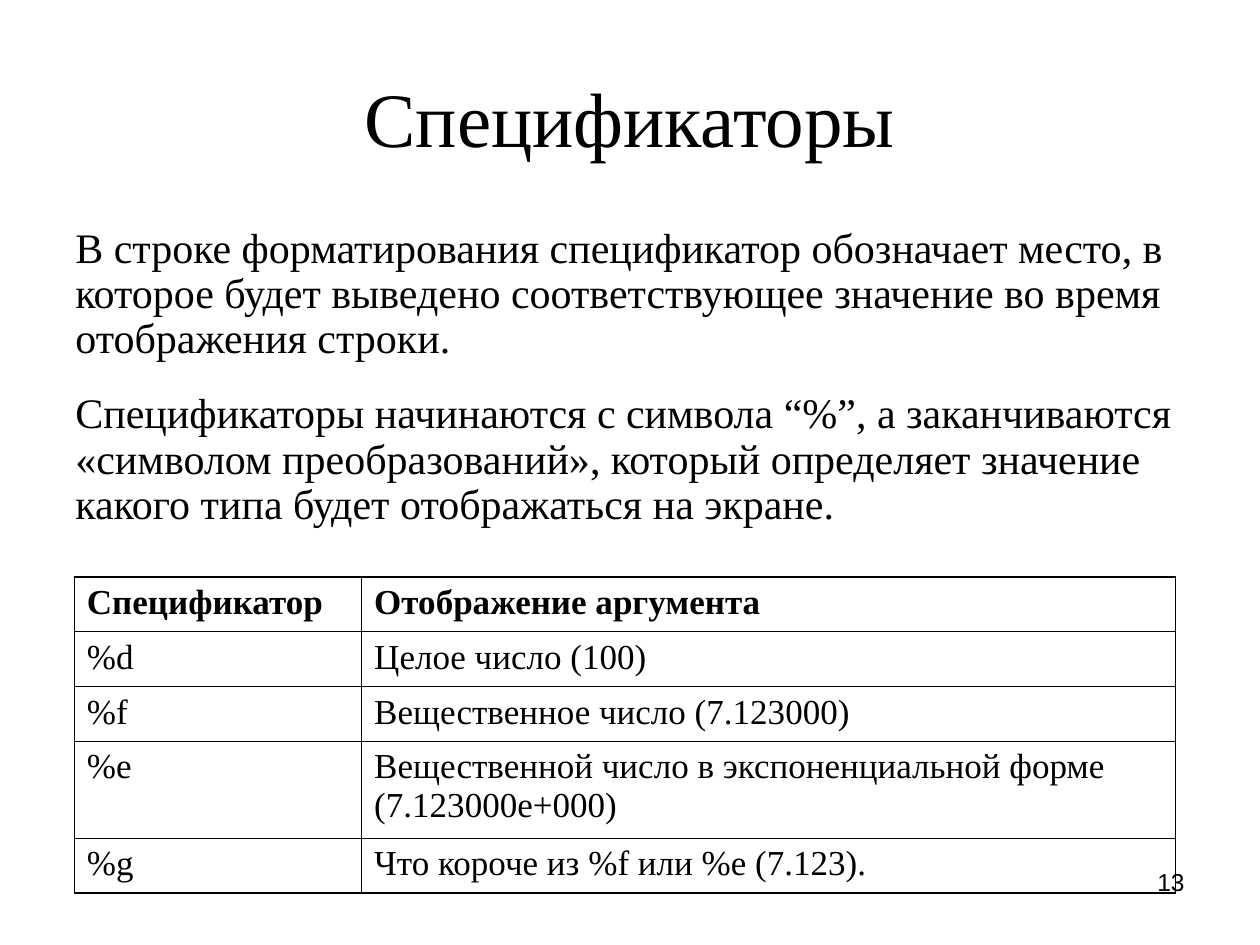
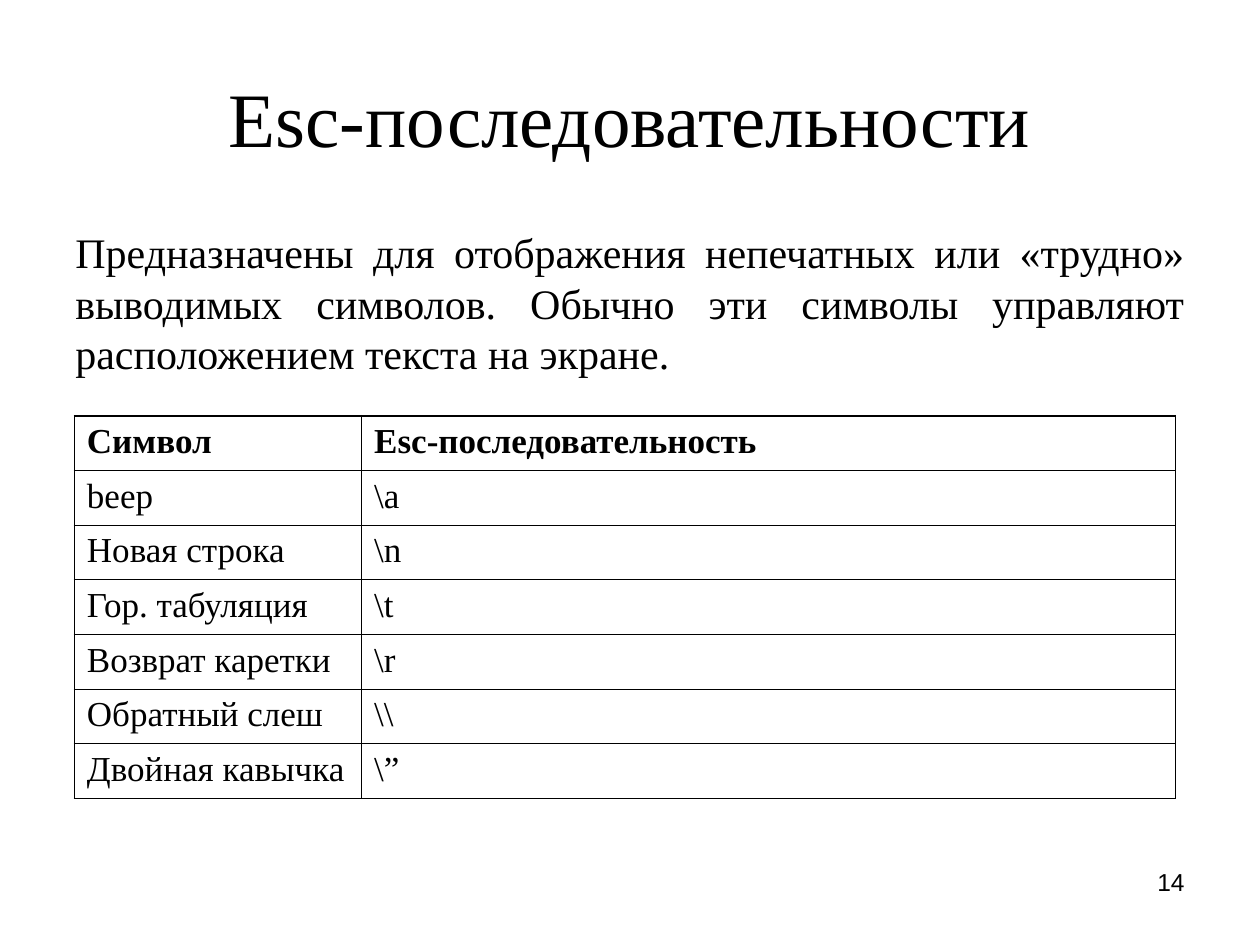
from dataclasses import dataclass

from lxml import etree
from pptx import Presentation
from pptx import util as u
from pptx.dml import color
from pptx.enum import text
from pptx.oxml import ns


@dataclass(frozen=True)
class Theme:
    ink: str = "000000"
    serif: str = "Times New Roman"
    sans: str = "Arial"
    title: int = 44
    body: int = 24
    cell: int = 20
    number: int = 14
    outer_line: float = 1.08
    inner_line: float = 0.45


@dataclass(frozen=True)
class Box:
    """Area in cells of the slide grid."""
    left: float
    top: float
    width: float
    height: float

    def place(self):
        return [grid(n) for n in (self.left, self.top, self.width, self.height)]


THEME = Theme()
ALIGN = text.PP_ALIGN

# Slide grid: 200 columns by 150 rows of square cells
COLUMNS, ROWS, CELL = 200, 150, 0.05
TITLE = Box(10, 6, 180, 25)
NUMBER = Box(143.4, 136.6, 46.6, 10.4)
TABLE_LEFT, TABLE_COLUMNS = 11.8, (45.6, 129.2)
ROW_HEIGHT, EXTRA_LINE = 8.65, 6.75


def grid(count):
    return u.Inches(count * CELL)


def write(para, words, size, font=THEME.serif, bold=False):
    span = para.add_run()
    span.text = words
    span.font.size = u.Pt(size)
    span.font.name = font
    span.font.bold = bold
    span.font.color.rgb = color.RGBColor.from_string(THEME.ink)


def add_frame(page, box):
    frame = page.shapes.add_textbox(*box.place()).text_frame
    frame.word_wrap = True
    return frame


def add_title(page, box, words):
    frame = add_frame(page, box)
    frame.vertical_anchor = text.MSO_ANCHOR.MIDDLE
    para = frame.paragraphs[0]
    para.alignment = ALIGN.CENTER
    write(para, words, THEME.title)


def add_body(page, box, paragraphs, align, line_spacing):
    frame = add_frame(page, box)
    for index, words in enumerate(paragraphs):
        para = frame.add_paragraph() if index else frame.paragraphs[0]
        para.alignment = align
        para.line_spacing = line_spacing
        para.space_before = u.Pt(17 if index else 6)
        write(para, words, THEME.body)


def add_number(page, box, number):
    para = add_frame(page, box).paragraphs[0]
    para.alignment = ALIGN.RIGHT
    write(para, str(number), THEME.number, THEME.sans)


def add_borders(cell, outer_sides):
    """Draw all four sides, heavier where the cell meets the table's edge."""
    properties = cell._tc.get_or_add_tcPr()
    for side in "LRTB":
        width = THEME.outer_line if side in outer_sides else THEME.inner_line
        line = etree.SubElement(properties, ns.qn(f"a:ln{side}"), w=str(int(u.Pt(width))))
        fill = etree.SubElement(line, ns.qn("a:solidFill"))
        etree.SubElement(fill, ns.qn("a:srgbClr"), val=THEME.ink)


def add_grid_table(page, top, rows, two_line_rows):
    heights = [ROW_HEIGHT + EXTRA_LINE * (r in two_line_rows) for r in range(len(rows))]
    box = Box(TABLE_LEFT, top, sum(TABLE_COLUMNS), sum(heights))
    table = page.shapes.add_table(len(rows), len(TABLE_COLUMNS), *box.place()).table
    table.first_row = table.horz_banding = False
    for column, width in zip(table.columns, TABLE_COLUMNS):
        column.width = grid(width)
    for r, (row, height) in enumerate(zip(rows, heights)):
        table.rows[r].height = grid(height)
        for c, words in enumerate(row):
            cell = table.cell(r, c)
            edges = {"L": c == 0, "R": c == len(row) - 1,
                     "T": r == 0, "B": r == len(rows) - 1}
            add_borders(cell, [side for side, outer in edges.items() if outer])
            cell.fill.background()
            para = cell.text_frame.paragraphs[0]
            para.space_before = u.Pt(5)
            write(para, words, THEME.cell, bold=r == 0)


def add_table_page(deck, number, title, paragraphs, body_height, table_top, rows,
                   align=ALIGN.LEFT, line_spacing=1.0, two_line_rows=()):
    page = deck.slides.add_slide(deck.slide_layouts[6])
    add_title(page, TITLE, title)
    add_body(page, Box(10, 35, 180, body_height), paragraphs, align, line_spacing)
    add_grid_table(page, table_top, rows, two_line_rows)
    add_number(page, NUMBER, number)


def main():
    deck = Presentation()
    deck.slide_width, deck.slide_height = grid(COLUMNS), grid(ROWS)

    # Format specifiers
    add_table_page(
        deck, 13, "Спецификаторы",
        ["В строке форматирования спецификатор обозначает место, в которое будет "
         "выведено соответствующее значение во время отображения строки.",
         "Спецификаторы начинаются с символа “%”, а заканчиваются «символом "
         "преобразований», который определяет значение какого типа будет "
         "отображаться на экране."],
        body_height=54.2, table_top=91.6, line_spacing=0.9, two_line_rows=(3,),
        rows=[("Спецификатор", "Отображение аргумента"),
              ("%d", "Целое число (100)"),
              ("%f", "Вещественное число (7.123000)"),
              ("%e", "Вещественной число в экспоненциальной форме (7.123000e+000)"),
              ("%g", "Что короче из %f или %e (7.123).")])

    # Escape sequences
    add_table_page(
        deck, 14, "Esc-последовательности",
        ["Предназначены для отображения непечатных или «трудно» выводимых символов. "
         "Обычно эти символы управляют расположением текста на экране."],
        body_height=29, table_top=66, align=ALIGN.JUSTIFY,
        rows=[("Символ", "Esc-последовательность"),
              ("beep", r"\a"),
              ("Новая строка", r"\n"),
              ("Гор. табуляция", r"\t"),
              ("Возврат каретки", r"\r"),
              ("Обратный слеш", r"\\"),
              ("Двойная кавычка", r"\”")])

    deck.save("out.pptx")


if __name__ == "__main__":
    main()
